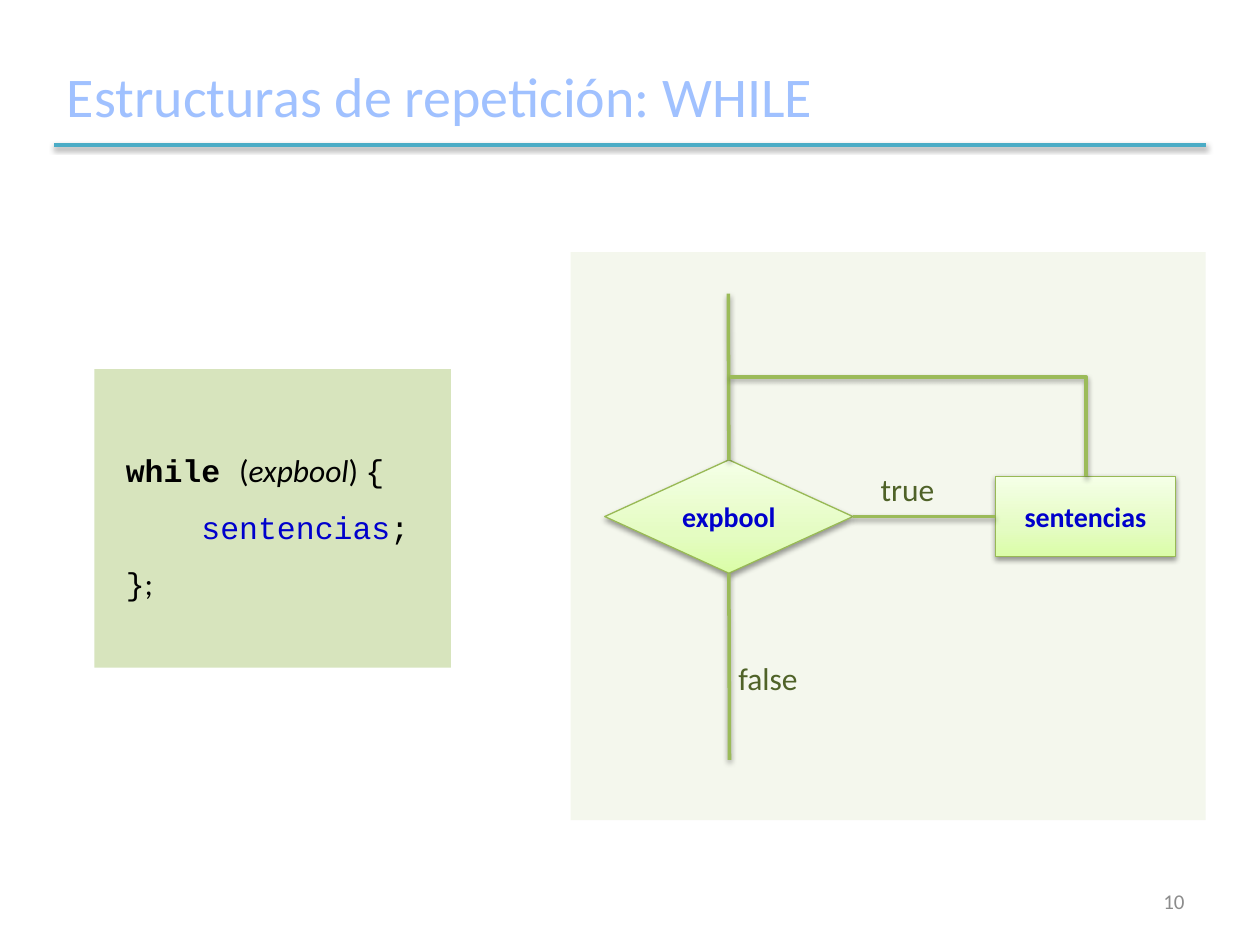
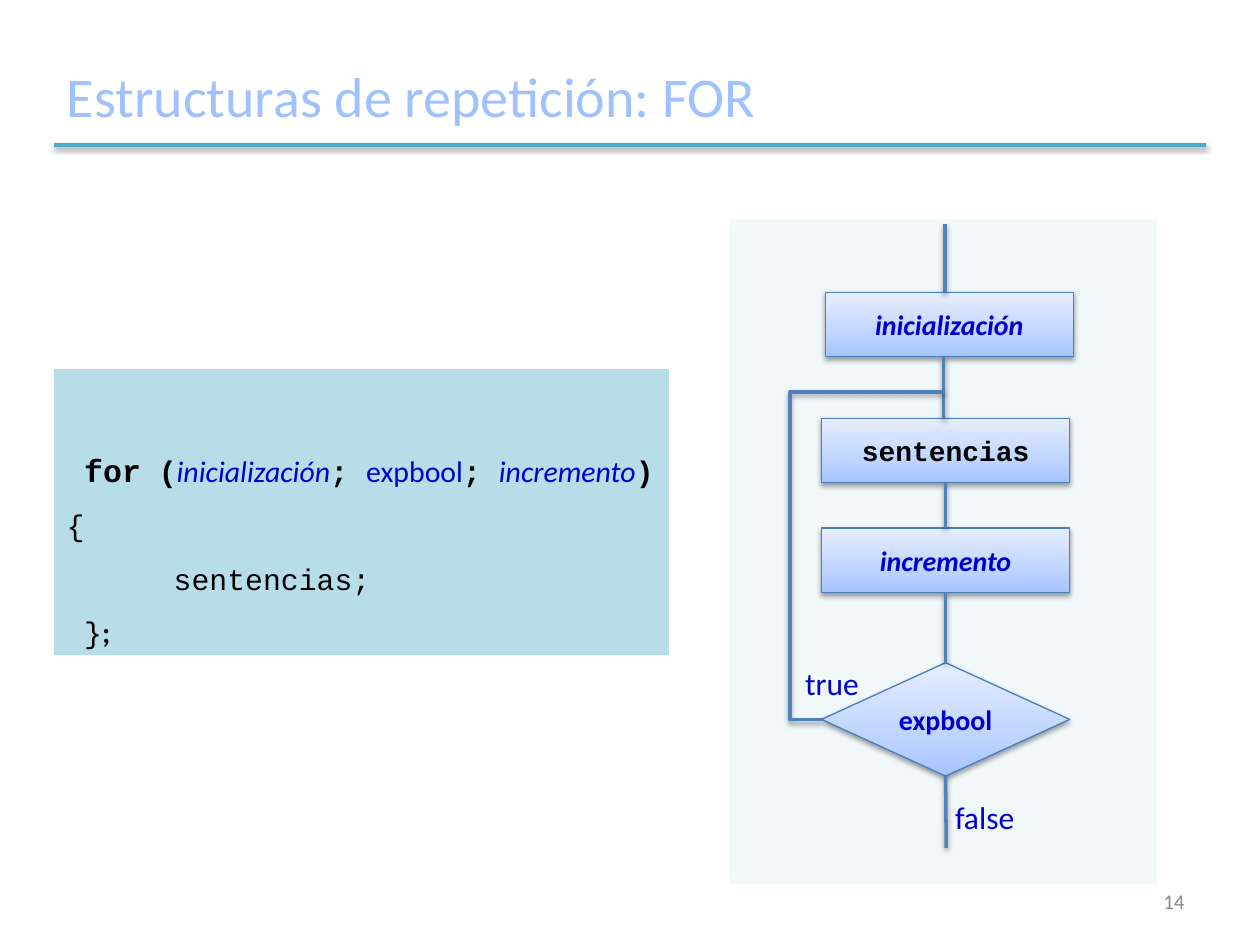
from copy import deepcopy
from pptx import Presentation
from pptx.dml.color import RGBColor as RGB
from pptx.enum.shapes import MSO_CONNECTOR as CONNECTOR, MSO_SHAPE as SHAPE
from pptx.enum.text import MSO_ANCHOR as ANCHOR, PP_ALIGN as ALIGN
from pptx.oxml import parse_xml
from pptx.oxml.ns import nsdecls, qn
from pptx.util import Inches, Pt

TITLE_BLUE = RGB(0xA0, 0xC1, 0xFF)
RULE_TEAL = RGB(0x4B, 0xAC, 0xC6)
NUMBER_GREY = RGB(0x8C, 0x8C, 0x8C)
BLACK = RGB(0, 0, 0)
CODE_BLUE = RGB(0, 0, 0xCC)
DARK_GREEN = RGB(0x4F, 0x62, 0x28)
GREEN_LINE = RGB(0x9B, 0xBB, 0x59)
GREEN_EDGE = RGB(0x98, 0xB9, 0x55)
GREEN_PANEL = RGB(0xF4, 0xF7, 0xED)
GREEN_CODE = RGB(0xD7, 0xE4, 0xBD)
GREEN_FADE = [RGB(0xDA, 0xFD, 0xA7), RGB(0xE4, 0xFC, 0xC2), RGB(0xF5, 0xFF, 0xE7)]
BLUE_LINE = RGB(0x4F, 0x81, 0xBD)
BLUE_EDGE = RGB(0x4B, 0x7E, 0xBC)
BLUE_PANEL = RGB(0xF0, 0xF8, 0xFA)
BLUE_CODE = RGB(0xB7, 0xDE, 0xE8)
BLUE_FADE = [RGB(0xA4, 0xC4, 0xFF), RGB(0xBF, 0xD4, 0xFF), RGB(0xE6, 0xEE, 0xFF)]

SANS, MONO = "Calibri", "Courier New"
NODE = dict(size=16, color=CODE_BLUE, bold=True)
ITALIC_NODE = dict(NODE, italic=True)
MONO_NODE = dict(NODE, font=MONO, color=BLACK)
CODE = dict(font=MONO)
KEYWORD = dict(font=MONO, bold=True)
KEYWORD_17 = dict(KEYWORD, size=17)
CODE_17 = dict(font=MONO, size=17)
BLUE_17 = dict(size=17, color=CODE_BLUE)
BLUE_ITALIC_17 = dict(BLUE_17, italic=True)

SLIDES = [
    dict(
        title="Estructuras de repetición: WHILE", number="10",
        line=GREEN_LINE, edge=GREEN_EDGE, fade=GREEN_FADE, label_color=DARK_GREEN,
        panel=(4.53, 2, 5.04, 4.51), panel_color=GREEN_PANEL,
        code_box=(0.75, 2.93, 2.83, 2.37), code_color=GREEN_CODE,
        code=[
            (0.15, 0, [("while ", KEYWORD), ("(", {}), ("expbool", dict(italic=True)),
                       (") ", {}), ("{", CODE)]),
            (0.75, 0, [("sentencias", dict(CODE, color=CODE_BLUE)), (";", CODE)]),
            (0.15, 0, [("}", CODE), (";", {})]),
        ],
        nodes=[
            ("expbool", SHAPE.DIAMOND, (4.8, 3.65, 1.97, 0.9), NODE),
            ("sentencias", SHAPE.RECTANGLE, (7.9, 3.78, 1.43, 0.64), NODE),
        ],
        flows=[
            ((5.78, 2.33), ("expbool", 0)),
            (("expbool", 3), ("sentencias", 1)),
            (("expbool", 2), (5.79, 6.03)),
        ],
        loop=[(5.79, 2.99), (8.62, 2.99), (8.62, 3.78)],
        labels=[("true", 6.99, 3.73), ("false", 5.86, 5.23)],
    ),
    dict(
        title="Estructuras de repetición: FOR", number="14",
        line=BLUE_LINE, edge=BLUE_EDGE, fade=BLUE_FADE, label_color=CODE_BLUE,
        panel=(5.79, 1.74, 3.39, 5.28), panel_color=BLUE_PANEL,
        code_box=(0.43, 2.93, 4.88, 2.27), code_color=BLUE_CODE,
        code=[
            (0, 0.14, [("for", KEYWORD), (" (", KEYWORD_17), ("inicialización", BLUE_ITALIC_17),
                       ("; ", KEYWORD_17), ("expbool", BLUE_17), ("; ", KEYWORD_17),
                       ("incremento", BLUE_ITALIC_17), (") ", KEYWORD_17), ("{", CODE_17)]),
            (0.85, 0, [("sentencias;", CODE_17)]),
            (0.14, 0, [("}", CODE_17), (";", dict(size=17, bold=True))]),
        ],
        nodes=[
            ("inicialización", SHAPE.RECTANGLE, (6.55, 2.32, 1.97, 0.51), ITALIC_NODE),
            ("sentencias", SHAPE.RECTANGLE, (6.52, 3.32, 1.97, 0.51), MONO_NODE),
            ("incremento", SHAPE.RECTANGLE, (6.52, 4.19, 1.97, 0.51), ITALIC_NODE),
            ("expbool", SHAPE.DIAMOND, (6.52, 5.26, 1.97, 0.9), NODE),
        ],
        flows=[
            ((7.5, 1.78), (7.5, 2.32)),
            ((7.49, 2.83), (7.49, 3.32)),
            (("sentencias", 2), ("incremento", 0)),
            (("incremento", 2), ("expbool", 0)),
            (("expbool", 2), (7.51, 6.73)),
        ],
        loop=[(6.52, 5.71), (6.27, 5.71), (6.27, 3.11), (7.49, 3.11)],
        labels=[("true", 6.39, 5.27), ("false", 7.58, 6.33)],
    ),
]


def write(paragraph, text, font=SANS, size=18, color=BLACK, bold=False, italic=False, align=None):
    run = paragraph.add_run()
    run.text = text
    run.font.name, run.font.size = font, Pt(size)
    run.font.bold, run.font.italic = bold, italic
    run.font.color.rgb = color
    if align is not None:
        paragraph.alignment = align


def outline(shape, color, width):
    shape.line.color.rgb = color
    shape.line.width = Pt(width)
    properties = shape._element.spPr
    for effects in properties.findall(qn("a:effectLst")):
        properties.remove(effects)
    properties.append(parse_xml(
        f'<a:effectLst {nsdecls("a")}><a:outerShdw blurRad="40000" dist="20000" dir="5400000" '
        'rotWithShape="0"><a:srgbClr val="000000"><a:alpha val="38000"/></a:srgbClr>'
        '</a:outerShdw></a:effectLst>'))


deck = Presentation()
deck.slide_width, deck.slide_height = Inches(10), Inches(7.5)

for content in SLIDES:
    slide = deck.slides.add_slide(deck.slide_layouts[5])
    shapes = slide.shapes

    heading = shapes.title
    heading.left, heading.top, heading.width, heading.height = map(Inches, (0.43, 0.36, 9.15, 0.79))
    heading.text_frame.vertical_anchor = ANCHOR.MIDDLE
    write(heading.text_frame.paragraphs[0], content["title"], size=32, color=TITLE_BLUE, align=ALIGN.LEFT)
    rule = shapes.add_connector(CONNECTOR.STRAIGHT, *map(Inches, (0.43, 1.15, 9.57, 1.15)))
    outline(rule, RULE_TEAL, 2)

    for part in ("panel", "code"):
        area = content["panel" if part == "panel" else "code_box"]
        background = shapes.add_shape(SHAPE.RECTANGLE, *map(Inches, area))
        background.shadow.inherit = False
        background.fill.solid()
        background.fill.fore_color.rgb = content[part + "_color"]
        background.line.fill.background()

    listing = background.text_frame
    listing.word_wrap = True
    listing.vertical_anchor = ANCHOR.TOP
    listing.margin_top = Inches(0.5)
    for index, (margin, indent, pieces) in enumerate(content["code"]):
        code_line = listing.add_paragraph() if index else listing.paragraphs[0]
        code_line.alignment = ALIGN.LEFT
        code_line.line_spacing = 1.5
        layout = code_line._p.get_or_add_pPr()
        layout.set("marL", str(Inches(margin)))
        layout.set("indent", str(Inches(indent)))
        for text, style in pieces:
            write(code_line, text, **style)

    nodes = {}
    for name, outline_kind, area, style in content["nodes"]:
        node = nodes[name] = shapes.add_shape(outline_kind, *map(Inches, area))
        node.fill.gradient()
        node.fill.gradient_angle = 90
        first_stop = node._element.spPr.find(".//" + qn("a:gs"))
        first_stop.addnext(deepcopy(first_stop))
        for stop, position, color in zip(node.fill.gradient_stops, (0, 0.35, 1), content["fade"]):
            stop.position = position
            stop.color.rgb = color
        outline(node, content["edge"], 0.75)
        node.text_frame.word_wrap = False
        node.text_frame.vertical_anchor = ANCHOR.MIDDLE
        write(node.text_frame.paragraphs[0], name, align=ALIGN.CENTER, **style)

    for start, end in content["flows"]:
        flow = shapes.add_connector(CONNECTOR.STRAIGHT, 0, 0, 0, 0)
        if start[0] in nodes:
            flow.begin_connect(nodes[start[0]], start[1])
        else:
            flow.begin_x, flow.begin_y = map(Inches, start)
        if end[0] in nodes:
            flow.end_connect(nodes[end[0]], end[1])
        else:
            flow.end_x, flow.end_y = map(Inches, end)
        outline(flow, content["line"], 2)

    corners = [(Inches(x), Inches(y)) for x, y in content["loop"]]
    route = shapes.build_freeform(*corners[0])
    route.add_line_segments(corners[1:], close=False)
    loop_back = route.convert_to_shape()
    loop_back.fill.background()
    outline(loop_back, content["line"], 2)

    for text, left, top in content["labels"]:
        branch = shapes.add_textbox(*map(Inches, (left, top, 0.6, 0.3))).text_frame
        branch.margin_left = branch.margin_right = branch.margin_top = branch.margin_bottom = 0
        branch.word_wrap = True
        write(branch.paragraphs[0], text, color=content["label_color"])

    page = shapes.add_textbox(*map(Inches, (7.17, 6.95, 2.33, 0.4))).text_frame
    page.word_wrap = True
    page.vertical_anchor = ANCHOR.MIDDLE
    write(page.paragraphs[0], content["number"], size=12, color=NUMBER_GREY, align=ALIGN.RIGHT)

deck.save("out.pptx")
